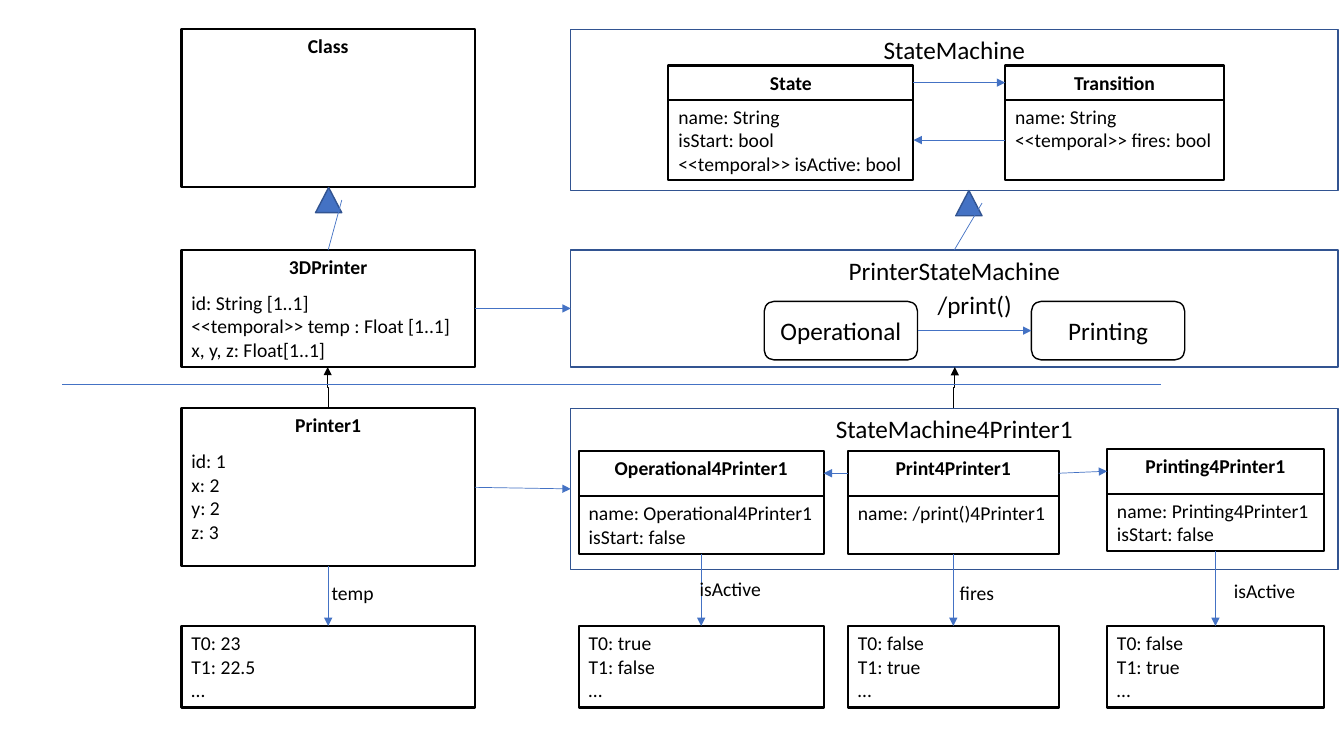
from lxml.etree import SubElement
from pptx import Presentation
from pptx.dml.color import RGBColor
from pptx.enum.shapes import MSO_CONNECTOR as Link, MSO_SHAPE as Preset
from pptx.enum.text import MSO_ANCHOR as Anchor, PP_ALIGN as Align
from pptx.oxml.ns import qn
from pptx.util import Inches, Pt

BLACK, BLUE, NAVY = "000000", "4472C4", "325491"
TOP, LEFT, BOTTOM, RIGHT = range(4)  # connection sites of a rectangle
TRIANGLE_BASE = 3

# Grid in inches: (left, width) of each column, (top, height) of each row
COLUMNS = {
    "printer": (1.8, 2.91), "machine": (5.66, 7.61),
    "state": (6.63, 2.43), "transition": (9.97, 2.17),
    "operational node": (7.58, 1.52), "printing node": (10.23, 1.52),
    "operational": (5.74, 2.43), "print": (8.41, 2.09), "printing": (10.98, 2.15),
}
ROWS = {
    "meta": (0.29, 1.57), "meta machine": (0.29, 1.6),
    "meta head": (0.65, 0.34), "meta body": (0.99, 0.8),
    "model": (2.48, 1.16), "nodes": (2.99, 0.58),
    "instance": (4.05, 1.57), "instance machine": (4.05, 1.6),
    "instance head": (4.47, 0.45), "instance body": (4.92, 0.58),
    "printing head": (4.45, 0.45), "printing body": (4.9, 0.57),
    "history": (6.21, 0.81),
}


def color(hex_code):
    """Turn a hex string into a colour."""
    return RGBColor.from_string(hex_code)


def write(paragraph, text, size=14, bold=False, align=Align.LEFT, after=0):
    """Put formatted text into a paragraph."""
    paragraph.alignment = align
    paragraph.space_after = Pt(after)
    run = paragraph.add_run()
    run.text = text
    run.font.name, run.font.size, run.font.bold = "Calibri", Pt(size), bold
    run.font.color.rgb = color(BLACK)


def outline(slide, preset, area, stroke, weight, fill=None):
    """Draw a preset shape over area (left, top, width, height)."""
    shape = slide.shapes.add_shape(preset, *map(Inches, area))
    shape.shadow.inherit = False
    if fill:
        shape.fill.solid()
        shape.fill.fore_color.rgb = color(fill)
    else:
        shape.fill.background()
    shape.line.color.rgb = color(stroke)
    shape.line.width = Pt(weight)
    return shape


def box(slide, column, row, title="", lines=(), size=14, bold=True,
        preset=Preset.RECTANGLE, stroke=BLACK, weight=1.5, anchor=Anchor.TOP):
    """Draw a grid cell with an optional centred title above its lines."""
    (left, width), (top, height) = COLUMNS[column], ROWS[row]
    cell = outline(slide, preset, (left, top, width, height), stroke, weight)
    frame = cell.text_frame
    frame.word_wrap, frame.vertical_anchor = True, anchor
    paragraph = frame.paragraphs[0]
    if title:
        write(paragraph, title, size, bold, Align.CENTER, after=8.8 if lines else 0)
    for index, line in enumerate(lines):
        write(frame.add_paragraph() if title or index else paragraph, line)
    return cell


def machine(slide, row, title):
    """Draw the frame of a state machine."""
    return box(slide, "machine", row, title, size=18, bold=False, stroke=NAVY, weight=1)


def node(slide, column, title):
    """Draw a rounded state of the printer's state machine."""
    return box(slide, column, "nodes", title, size=18, bold=False, weight=1,
               preset=Preset.ROUNDED_RECTANGLE, anchor=Anchor.MIDDLE)


def uml_class(slide, column, level, title, lines):
    """Draw a class as a header box and an attribute box."""
    return (box(slide, column, f"{level} head", title),
            box(slide, column, f"{level} body", lines=lines))


def label(slide, text, left, top, width, height=0.34, size=14):
    """Write free text beside an arrow."""
    frame = slide.shapes.add_textbox(*map(Inches, (left, top, width, height))).text_frame
    frame.word_wrap = False
    write(frame.paragraphs[0], text, size)


def connector(slide, kind, start, end, stroke=BLUE, arrow=True):
    """Draw a thin connector between two points in inches."""
    link = slide.shapes.add_connector(kind, *map(Inches, (*start, *end)))
    link.line.color.rgb = color(stroke)
    link.line.width = Pt(0.5)
    properties = link._element.spPr
    if arrow:
        SubElement(properties.find(qn("a:ln")), qn("a:tailEnd"), type="triangle")
    SubElement(properties, qn("a:effectLst"))
    return link


def join(slide, source, source_site, target, target_site, arrow=True):
    """Glue a straight connector to sites of two shapes."""
    link = connector(slide, Link.STRAIGHT, (0, 0), (1, 1), arrow=arrow)
    link.begin_connect(source, source_site)
    link.end_connect(target, target_site)


def instance_of(slide, start_x, end_x):
    """Draw an elbow arrow up from the instance row to the model row."""
    start_y, end_y = ROWS["instance"][0], sum(ROWS["model"])
    x, y, half = (start_x + end_x) / 2, (start_y + end_y) / 2, (start_y - end_y) / 2
    link = connector(slide, Link.ELBOW, (x - half, y + start_x - x),
                     (x + half, y + end_x - x), BLACK)
    link._element.spPr.find(qn("a:xfrm")).set("rot", str(270 * 60000))


def inherit(slide, child, left, top):
    """Draw the inheritance triangle and its line to the child."""
    triangle = outline(slide, Preset.ISOSCELES_TRIANGLE, (left, top, 0.26, 0.25),
                       NAVY, 1, BLUE)
    join(slide, triangle, TRIANGLE_BASE, child, TOP, arrow=False)


def history(slide, column, owner, first, second):
    """Draw the values over time of a temporal attribute."""
    values = box(slide, column, "history", lines=(f"T0: {first}", f"T1: {second}", "…"))
    join(slide, owner, BOTTOM, values, TOP)


def meta_level(slide):
    """Draw the metamodel."""
    box(slide, "printer", "meta", "Class")
    machine(slide, "meta machine", "StateMachine")
    state_head, state_body = uml_class(
        slide, "state", "meta", "State",
        ("name: String", "isStart: bool", "<<temporal>> isActive: bool"))
    transition_head, transition_body = uml_class(
        slide, "transition", "meta", "Transition",
        ("name: String", "<<temporal>> fires: bool"))
    join(slide, state_head, RIGHT, transition_head, LEFT)
    join(slide, transition_body, LEFT, state_body, RIGHT)


def model_level(slide):
    """Draw the printer class and its state machine."""
    printer = box(slide, "printer", "model", "3DPrinter", (
        "id: String [1..1]", "<<temporal>> temp : Float [1..1]", "x, y, z: Float[1..1]"))
    printer_machine = machine(slide, "model", "PrinterStateMachine")
    operational = node(slide, "operational node", "Operational")
    printing = node(slide, "printing node", "Printing")
    label(slide, "/print()", 9.2, 2.82, 0.95, 0.4, size=18)
    join(slide, operational, RIGHT, printing, LEFT)
    join(slide, printer, RIGHT, printer_machine, LEFT)
    inherit(slide, printer, 3.13, 1.86)
    inherit(slide, printer_machine, 9.48, 1.89)


def instance_level(slide):
    """Draw the printer instance, its states and their histories."""
    printer = box(slide, "printer", "instance", "Printer1",
                  ("id: 1", "x: 2", "y: 2", "z: 3"))
    printer_machine = machine(slide, "instance machine", "StateMachine4Printer1")
    operational_head, operational = uml_class(
        slide, "operational", "instance", "Operational4Printer1",
        ("name: Operational4Printer1", "isStart: false"))
    print_head, print_body = uml_class(
        slide, "print", "instance", "Print4Printer1", ("name: /print()4Printer1",))
    printing_head, printing = uml_class(
        slide, "printing", "printing", "Printing4Printer1",
        ("name: Printing4Printer1", "isStart: false"))
    join(slide, printer, RIGHT, printer_machine, LEFT)
    join(slide, print_head, LEFT, operational_head, RIGHT)
    join(slide, print_head, RIGHT, printing_head, LEFT)
    history(slide, "printer", printer, "23", "22.5")
    history(slide, "operational", operational, "true", "false")
    history(slide, "print", print_body, "false", "true")
    history(slide, "printing", printing, "false", "true")
    for text, left, top, width in (("temp", 3.19, 5.71, 0.62), ("isActive", 6.84, 5.67, 0.82),
                                   ("fires", 9.42, 5.71, 0.55), ("isActive", 12.14, 5.69, 0.82)):
        label(slide, text, left, top, width)


def main():
    """Build the slide and save it."""
    deck = Presentation()
    deck.slide_width, deck.slide_height = Inches(13.33), Inches(7.5)
    slide = deck.slides.add_slide(deck.slide_layouts[6])
    meta_level(slide)
    model_level(slide)
    instance_level(slide)
    instance_of(slide, 3.26, 3.25)
    instance_of(slide, 9.46, 9.47)
    connector(slide, Link.STRAIGHT, (0.62, 3.81), (11.52, 3.81), arrow=False)
    deck.save("out.pptx")


main()
